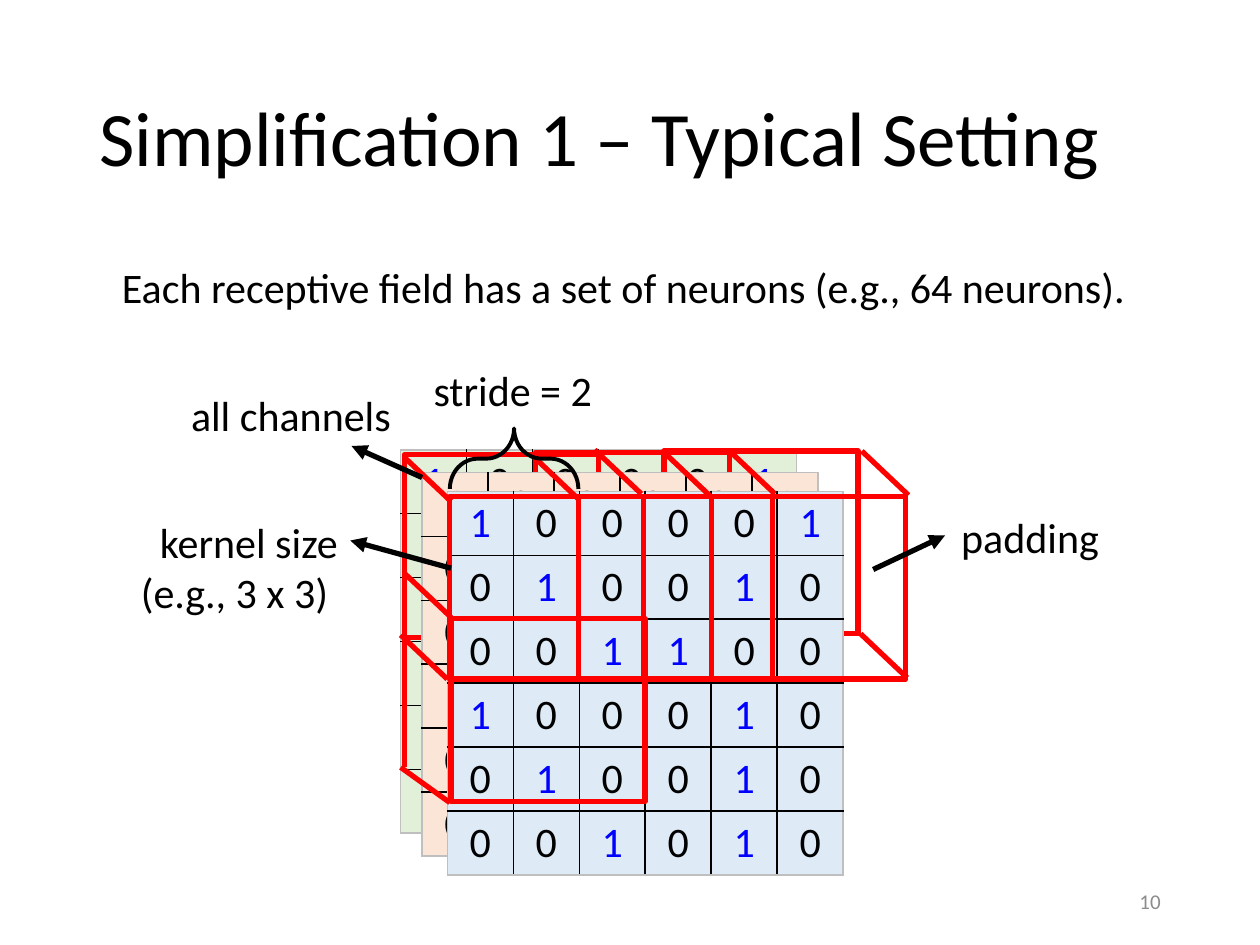
from pptx import Presentation
from pptx.dml.color import RGBColor
from pptx.enum.shapes import MSO_CONNECTOR, MSO_SHAPE
from pptx.enum.text import MSO_ANCHOR, PP_ALIGN
from pptx.oxml.ns import qn
from pptx.util import Inches, Pt
from lxml.etree import SubElement

BLACK = RGBColor(0x00, 0x00, 0x00)
BLUE = RGBColor(0x00, 0x00, 0xFF)
RED = RGBColor(0xFF, 0x00, 0x00)
GRAY = RGBColor(0x8C, 0x8C, 0x8C)
EDGE_GRAY = RGBColor(0xBF, 0xBF, 0xBF)
GREEN_FILL = RGBColor(0xE2, 0xF0, 0xD9)
ORANGE_FILL = RGBColor(0xFB, 0xE5, 0xD6)
BLUE_FILL = RGBColor(0xDE, 0xEB, 0xF7)
FONT = "Calibri"

PIXELS = ["100001", "010010", "001100", "100010", "010010", "001010"]
COLUMN_WIDTH, ROW_HEIGHT = 0.524, 0.5
BACK_CHANNEL = (3.18, 3.57, GREEN_FILL)
FRONT_CHANNELS = [(3.35, 3.75, ORANGE_FILL), (3.55, 3.9, BLUE_FILL)]

FIELD_WIDTH, FIELD_HEIGHT = 1.54, 1.45
BACK_FIELDS = [(5.27, 3.58), (4.25, 3.59), (3.21, 3.61)]
FRONT_FIELDS = [(3.57, 3.94), (4.59, 3.94), (3.58, 4.91), (5.65, 3.94)]

# Back corners of the receptive fields; each edge runs DEPTH to the front.
DEPTH = (0.37, 0.35)
BACK_CORNERS = [(3.18, 5.04), (3.21, 3.63), (4.72, 3.57), (5.78, 3.57), (4.23, 3.62),
                (6.84, 3.58), (6.83, 5.03), (3.21, 4.55), (5.27, 3.59)]
LOWER_FIELD_EDGES = [((3.18, 6.09), (3.57, 6.37)), ((3.21, 4.51), (3.21, 6.09))]
LABEL_ARROWS = [((3.58, 4.51), (2.78, 4.29)), ((3.35, 3.79), (2.79, 3.54)),
                ((6.93, 4.52), (7.5, 4.25))]

LABELS = [
    ("Simplification 1 – Typical Setting", (0.69, 0.4, 8.62, 1.45),
     dict(size=44, anchor=MSO_ANCHOR.MIDDLE, spacing=0.9)),
    ("Each receptive field has a set of neurons (e.g., 64 neurons).",
     (0.78, 2.03, 8.34, 0.5), dict(align=PP_ALIGN.CENTER)),
    ("all channels", (1.31, 3.04, 2, 0.5), dict(align=PP_ALIGN.CENTER)),
    ("stride = 2", (3.07, 2.84, 2, 0.5), dict(align=PP_ALIGN.CENTER)),
    ("kernel size (e.g., 3 x 3) ", (0.61, 4.05, 2.17, 0.91), dict(align=PP_ALIGN.RIGHT)),
    ("padding", (7.53, 4.01, 1.64, 0.5), {}),
    ("10", (7.06, 6.95, 2.25, 0.4),
     dict(size=12, color=GRAY, align=PP_ALIGN.RIGHT, anchor=MSO_ANCHOR.MIDDLE)),
]


def write(frame, text, size=24, color=BLACK, align=PP_ALIGN.LEFT,
          anchor=MSO_ANCHOR.TOP, spacing=None):
    frame.word_wrap = True
    frame.vertical_anchor = anchor
    paragraph = frame.paragraphs[0]
    paragraph.alignment = align
    paragraph.line_spacing = spacing
    run = paragraph.add_run()
    run.text = text
    run.font.name = FONT
    run.font.size = Pt(size)
    run.font.color.rgb = color


def add_label(slide, text, box, **style):
    write(slide.shapes.add_textbox(*map(Inches, box)).text_frame, text, **style)


def set_borders(cell, colors):
    """Draw 1 pt borders; colors maps the sides L, R, T and B."""
    properties = cell._tc.get_or_add_tcPr()
    for position, (side, color) in enumerate(colors.items()):
        border = properties.makeelement(qn(f"a:ln{side}"), {"w": str(Pt(1))})
        fill = SubElement(border, qn("a:solidFill"))
        SubElement(fill, qn("a:srgbClr"), val=str(color))
        properties.insert(position, border)


def add_channel(slide, left, top, fill):
    count = len(PIXELS)
    table = slide.shapes.add_table(
        count, count, Inches(left), Inches(top),
        Inches(COLUMN_WIDTH * count), Inches(ROW_HEIGHT * count)).table
    last = count - 1
    for r, pixels in enumerate(PIXELS):
        for c, pixel in enumerate(pixels):
            cell = table.cell(r, c)
            cell.fill.solid()
            cell.fill.fore_color.rgb = fill
            write(cell.text_frame, pixel, align=PP_ALIGN.CENTER,
                  color=BLUE if pixel == "1" else BLACK)
            outer = {"L": c == 0, "R": c == last, "T": r == 0, "B": r == last}
            set_borders(cell, {side: EDGE_GRAY if is_outer else BLACK
                               for side, is_outer in outer.items()})


def add_outline(slide, kind, box, color, width):
    shape = slide.shapes.add_shape(kind, *map(Inches, box))
    shape.shadow.inherit = False
    shape.fill.background()
    shape.line.color.rgb = color
    shape.line.width = Pt(width)
    return shape


def add_fields(slide, corners):
    for corner in corners:
        add_outline(slide, MSO_SHAPE.RECTANGLE, (*corner, FIELD_WIDTH, FIELD_HEIGHT), RED, 3)


def add_line(slide, start, end, color, arrow=False):
    line = slide.shapes.add_connector(MSO_CONNECTOR.STRAIGHT, *map(Inches, (*start, *end)))
    line.line.color.rgb = color
    line.line.width = Pt(3)
    if arrow:
        SubElement(line.line._get_or_add_ln(), qn("a:tailEnd"), type="triangle")
    SubElement(line._element.spPr, qn("a:effectLst"))


def main():
    deck = Presentation()
    deck.slide_width, deck.slide_height = Inches(10), Inches(7.5)
    slide = deck.slides.add_slide(deck.slide_layouts[6])

    add_channel(slide, *BACK_CHANNEL)
    add_fields(slide, BACK_FIELDS)
    for channel in FRONT_CHANNELS:
        add_channel(slide, *channel)
    add_fields(slide, FRONT_FIELDS)

    for x, y in BACK_CORNERS:
        add_line(slide, (x, y), (x + DEPTH[0], y + DEPTH[1]), RED)
    for start, end in LOWER_FIELD_EDGES:
        add_line(slide, start, end, RED)
    for start, end in LABEL_ARROWS:
        add_line(slide, start, end, BLACK, arrow=True)

    stride_brace = add_outline(slide, MSO_SHAPE.RIGHT_BRACE, (3.84, 3.13, 0.48, 1.02), BLACK, 2.25)
    stride_brace.rotation = 270
    stride_brace.adjustments[0] = 0.46
    stride_brace.adjustments[1] = 0.5

    for text, box, style in LABELS:
        add_label(slide, text, box, **style)
    deck.save("out.pptx")


if __name__ == "__main__":
    main()
